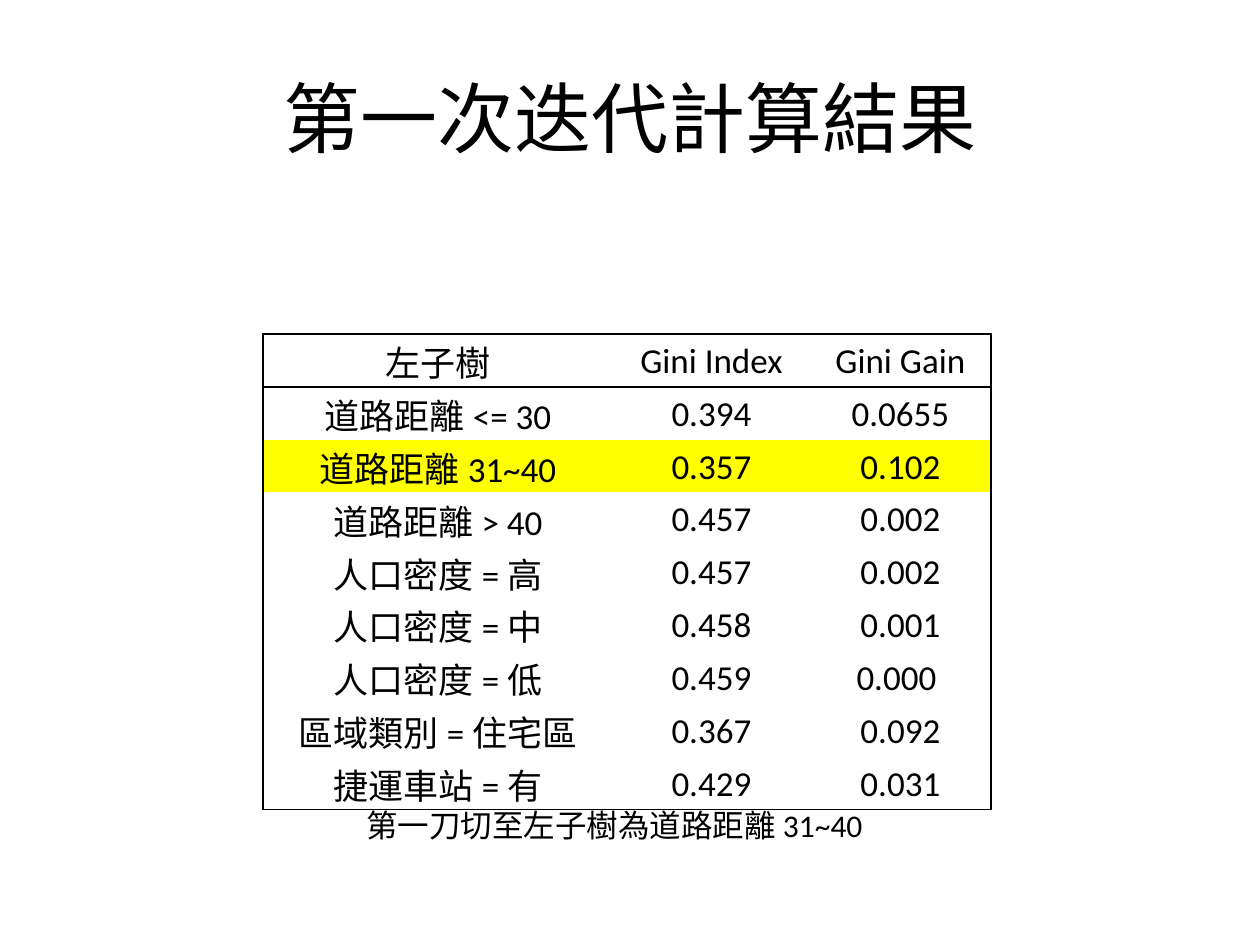
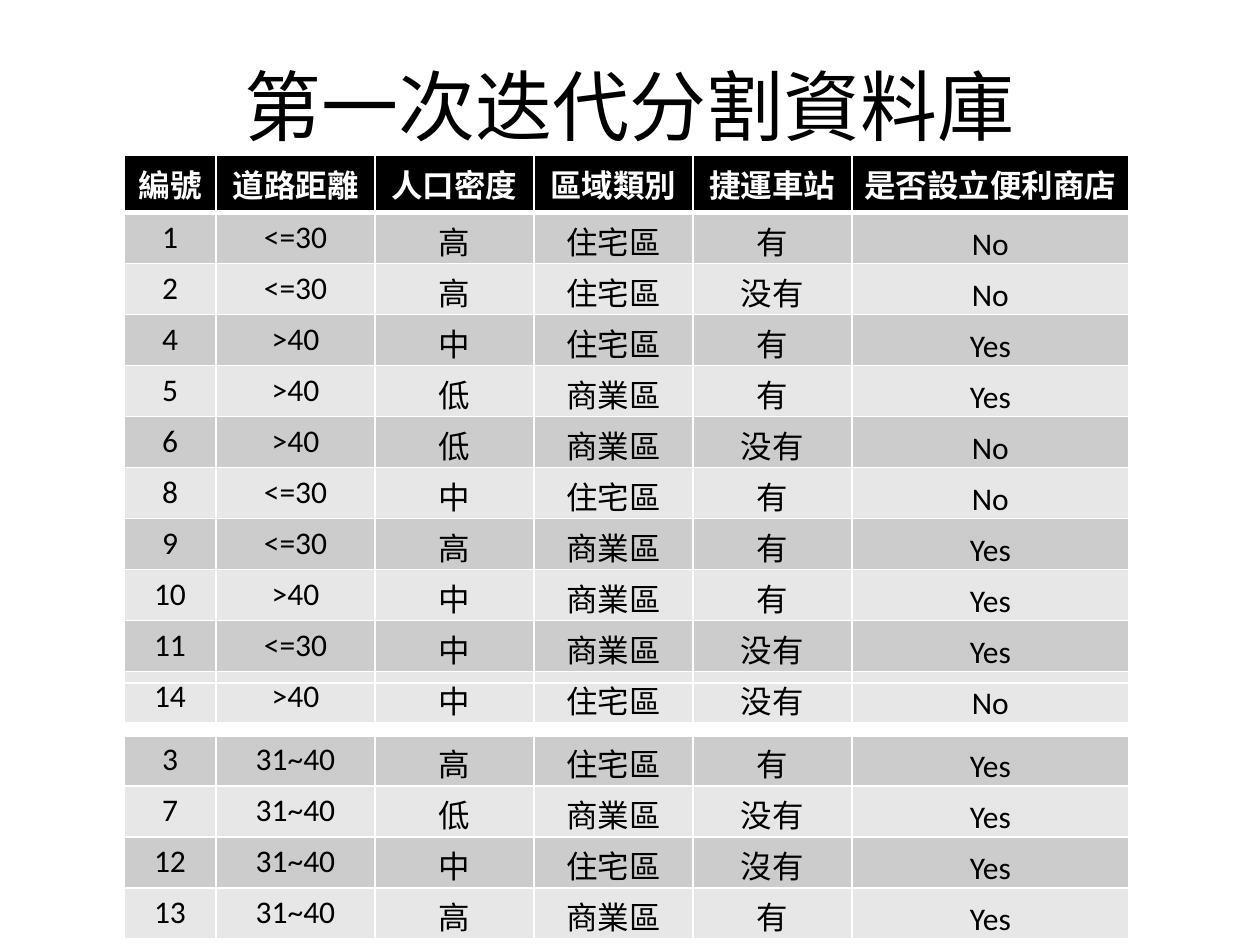
"""Build two slides on the first iteration of a decision tree."""
from collections.abc import Callable
from dataclasses import dataclass, field

from lxml import etree
from pptx import Presentation
from pptx.dml.color import RGBColor
from pptx.enum.text import MSO_ANCHOR, MSO_AUTO_SIZE, PP_ALIGN
from pptx.oxml.ns import qn
from pptx.slide import Slide
from pptx.table import _Cell
from pptx.text.text import TextFrame
from pptx.util import Emu, Pt

CENTER, LEFT = PP_ALIGN.CENTER, PP_ALIGN.LEFT
TOP, MIDDLE, BOTTOM = MSO_ANCHOR.TOP, MSO_ANCHOR.MIDDLE, MSO_ANCHOR.BOTTOM
GROW = MSO_AUTO_SIZE.SHAPE_TO_FIT_TEXT
TITLE_ONLY = 5
EMU_PER_PIXEL = 914400 / 126
SLIDE_SIZE = (1260, 945)
COLORS = {"ink": "000000", "paper": "FFFFFF", "mark": "FFFF00", "dark band": "CCCCCC", "light band": "E7E7E7"}
LATIN, HAN = "Calibri", "Noto Sans CJK SC"
PLAIN_STYLE = "{2D5ABB26-0587-4C30-8999-92F81FD0307C}"

GINI_ROWS = [
    ("左子樹", "Gini Index", "Gini Gain"),
    ("道路距離 <= 30", "0.394", "0.0655"),
    ("道路距離 31~40", "0.357", "0.102"),
    ("道路距離 > 40", "0.457", "0.002"),
    ("人口密度 = 高", "0.457", "0.002"),
    ("人口密度 = 中", "0.458", "0.001"),
    ("人口密度 = 低", "0.459", "0.000 "),
    ("區域類別 = 住宅區", "0.367", "0.092"),
    ("捷運車站 = 有", "0.429", "0.031"),
]
BEST_ROW = 2
RECORD_HEADER = ("編號", "道路距離", "人口密度", "區域類別", "捷運車站", "是否設立便利商店")
REMAINING = [
    ("1", "<=30", "高", "住宅區", "有", "No"),
    ("2", "<=30", "高", "住宅區", "没有", "No"),
    ("4", ">40", "中", "住宅區", "有", "Yes"),
    ("5", ">40", "低", "商業區", "有", "Yes"),
    ("6", ">40", "低", "商業區", "没有", "No"),
    ("8", "<=30", "中", "住宅區", "有", "No"),
    ("9", "<=30", "高", "商業區", "有", "Yes"),
    ("10", ">40", "中", "商業區", "有", "Yes"),
    ("11", "<=30", "中", "商業區", "没有", "Yes"),
    ("14", ">40", "中", "住宅區", "没有", "No"),
]
SPLIT_OFF = [
    ("3", "31~40", "高", "住宅區", "有", "Yes"),
    ("7", "31~40", "低", "商業區", "没有", "Yes"),
    ("12", "31~40", "中", "住宅區", "沒有", "Yes"),
    ("13", "31~40", "高", "商業區", "有", "Yes"),
]


@dataclass
class CellLook:
    """Formatting of one cell; margins are left, right, top, bottom in pixels."""
    size: int
    fill: str | None = None
    color: str = "ink"
    bold: bool = False
    anchor: MSO_ANCHOR = TOP
    margins: tuple[int, int, int, int] = (12, 12, 6, 6)
    borders: dict[str, tuple[str, int]] = field(default_factory=dict)


@dataclass
class Grid:
    """A table: its place, column widths, row heights, wording and look rule."""
    left: int
    top: int
    widths: list[int]
    heights: list[int]
    rows: list[tuple[str, ...]]
    look: Callable[[int, int], CellLook]


def px(pixels: int) -> Emu:
    """Turn pixels into EMU."""
    return Emu(round(pixels * EMU_PER_PIXEL))


def rgb(name: str) -> RGBColor:
    """Look up a named colour."""
    return RGBColor.from_string(COLORS[name])


def write(frame: TextFrame, text: str, size: int, color: str = "ink", bold: bool = False,
          align: PP_ALIGN = CENTER, latin: str = LATIN) -> None:
    """Set the text of a frame and format its only paragraph."""
    frame.text = text
    para = frame.paragraphs[0]
    para.alignment = align
    para.font.size = Pt(size)
    for span in para.runs:
        span.font.name = latin
        span.font.size = Pt(size)
        span.font.bold = bold
        span.font.color.rgb = rgb(color)
        latin_tag = span.font._element.find(qn("a:latin"))
        east_asian = etree.Element(qn("a:ea"), typeface=HAN)
        latin_tag.addnext(east_asian)


def add_borders(cell: _Cell, borders: dict[str, tuple[str, int]]) -> None:
    """Give a cell the lines named by side, ahead of its fill, and clear the other sides."""
    properties = cell._tc.get_or_add_tcPr()
    for position, side in enumerate("LRTB"):
        line = etree.Element(qn(f"a:ln{side}"))
        properties.insert(position, line)
        if side not in borders:
            etree.SubElement(line, qn("a:noFill"))
            continue
        color, points = borders[side]
        line.set("w", str(Pt(points)))
        solid = etree.SubElement(line, qn("a:solidFill"))
        etree.SubElement(solid, qn("a:srgbClr"), val=COLORS[color])


def format_cell(cell: _Cell, text: str, look: CellLook) -> None:
    """Write one cell and apply its look."""
    write(cell.text_frame, text, look.size, look.color, look.bold)
    cell.vertical_anchor = look.anchor
    cell.margin_left, cell.margin_right, cell.margin_top, cell.margin_bottom = map(px, look.margins)
    if look.fill:
        cell.fill.solid()
        cell.fill.fore_color.rgb = rgb(look.fill)
    else:
        cell.fill.background()
    add_borders(cell, look.borders)


def draw_grid(page: Slide, grid: Grid) -> None:
    """Add a table to the page."""
    frame = page.shapes.add_table(len(grid.heights), len(grid.widths), px(grid.left), px(grid.top),
                                  px(sum(grid.widths)), px(sum(grid.heights)))
    table = frame.table
    table.first_row = table.horz_banding = False
    table._tbl.tblPr.find(qn("a:tableStyleId")).text = PLAIN_STYLE
    for column, width in zip(table.columns, grid.widths):
        column.width = px(width)
    for row, height in zip(table.rows, grid.heights):
        row.height = px(height)
    for row_index, texts in enumerate(grid.rows):
        for column_index, text in enumerate(texts):
            format_cell(table.cell(row_index, column_index), text, grid.look(row_index, column_index))


def gini_look(row: int, column: int) -> CellLook:
    """Frame the table, rule off its header and mark the best split."""
    line = ("ink", 1)
    edges = {"L": column == 0, "R": column == 2, "T": row < 2, "B": row in (0, len(GINI_ROWS) - 1)}
    return CellLook(20, fill="mark" if row == BEST_ROW else None, anchor=MIDDLE, margins=(2, 2, 2, 0),
                    borders={side: line for side, shown in edges.items() if shown})


def record_look(row: int, column: int) -> CellLook:
    """Band the records under a black header, with white rules."""
    borders = {side: ("paper", 1) for side in "LRTB"}
    if row == 0:
        borders["B"] = ("paper", 3)
        return CellLook(18, "ink", "paper", True, borders=borders)
    if row == 1:
        borders["T"] = ("paper", 3)
    look = CellLook(18, "dark band" if row % 2 else "light band", borders=borders)
    if column >= 2:
        look.anchor, look.margins = BOTTOM, (1, 1, 1, 0)
    return look


def split_look(row: int, column: int) -> CellLook:
    """Look like the records, with an open header row."""
    look = record_look(row, column)
    if row == 0:
        look.fill = None
    return look


def record_grid(top: int, header: tuple[str, ...], records: list[tuple[str, ...]],
                look: Callable[[int, int], CellLook]) -> Grid:
    """Lay out a table of records."""
    heights = [52, *[51] * len(records)]
    return Grid(124, top, [92, *[159] * 4, 277], heights, [header, *records], look)


def add_page(deck: Presentation, title: str, top: int) -> Slide:
    """Add a page with its title."""
    page = deck.slides.add_slide(deck.slide_layouts[TITLE_ONLY])
    box = page.shapes.title
    box.left, box.top, box.width, box.height = map(px, (63, top, 1134, 158))
    box.text_frame.vertical_anchor = MIDDLE
    write(box.text_frame, title, 44, latin=HAN)
    return page


def add_caption(page: Slide, text: str) -> None:
    """Add the line that sums up the table."""
    box = page.shapes.add_textbox(*map(px, (354, 800, 534, 50)))
    box.text_frame.word_wrap = False
    box.text_frame.auto_size = GROW
    write(box.text_frame, text, 18, align=LEFT)


def main() -> None:
    """Build and save the deck."""
    deck = Presentation()
    deck.slide_width, deck.slide_height = map(px, SLIDE_SIZE)

    page = add_page(deck, "第一次迭代計算結果", 38)
    draw_grid(page, Grid(263, 334, [350, 197, 181], [49, *[47] * 7, 49], GINI_ROWS, gini_look))
    add_caption(page, "第一刀切至左子樹為道路距離 31~40")

    page = add_page(deck, "第一次迭代分割資料庫", 26)
    draw_grid(page, record_grid(155, RECORD_HEADER, REMAINING, record_look))
    draw_grid(page, record_grid(683, ("",) * len(RECORD_HEADER), SPLIT_OFF, split_look))

    deck.save("out.pptx")


main()
